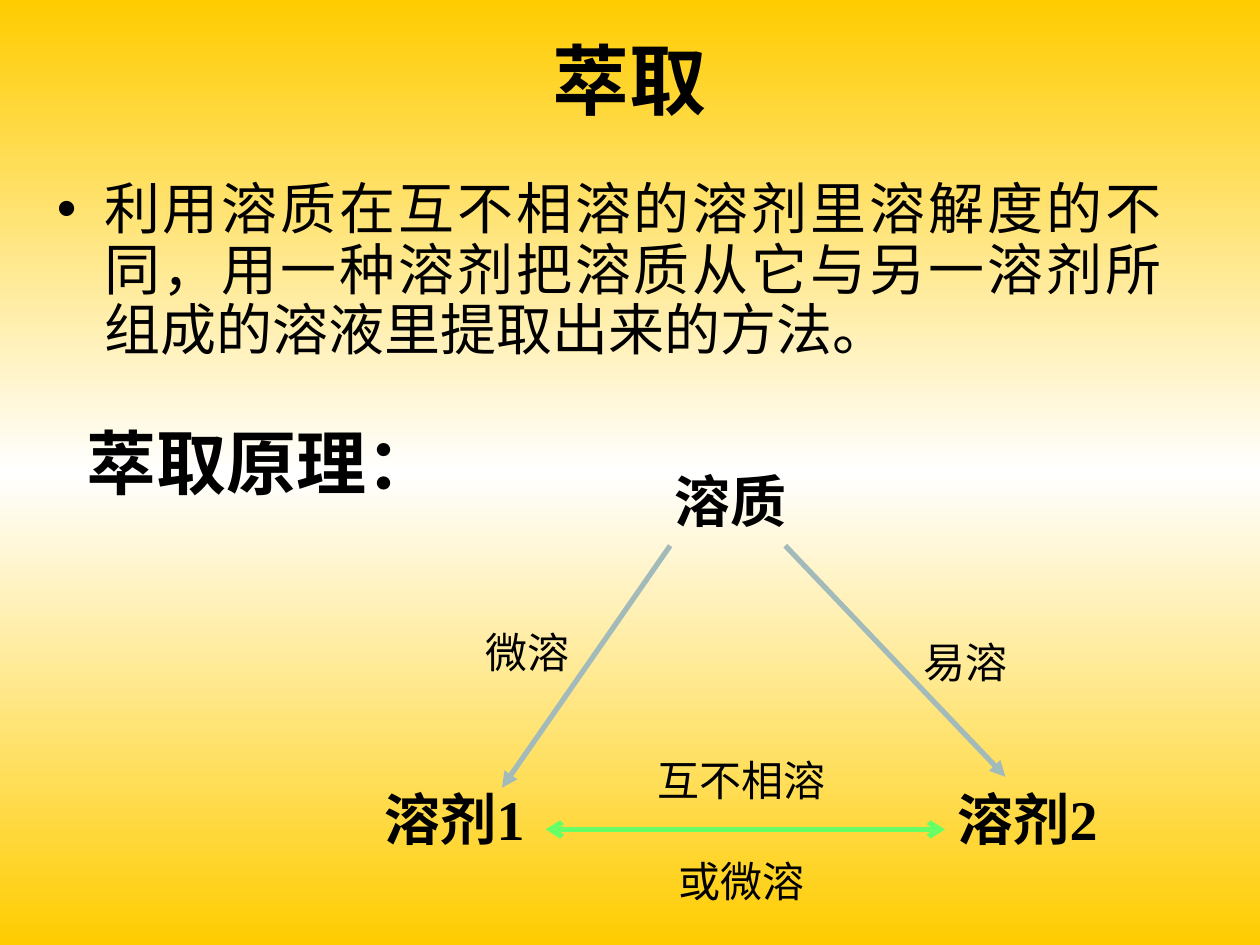
from copy import deepcopy

from pptx import Presentation
from pptx import util as u
from pptx.dml.color import RGBColor
from pptx.enum import shapes, text
from pptx.oxml.ns import qn
from pptx.oxml.xmlchemy import OxmlElement

BLACK = RGBColor(0x00, 0x00, 0x00)
WHITE = RGBColor(0xFF, 0xFF, 0xFF)
GOLD = RGBColor(0xFF, 0xCC, 0x00)
GREY = RGBColor(0xA3, 0xBA, 0xBA)
GREEN = RGBColor(0x66, 0xFF, 0x66)
SERIF = "Times New Roman"


def add_xml(parent, tag, **attributes):
    element = OxmlElement(tag)
    for name, value in attributes.items():
        element.set(name, value)
    parent.append(element)
    return element


def paint_background(slide):
    fill = slide.background.fill
    fill.gradient()
    fill.gradient_angle = 90
    stop_list = slide.element.find(".//" + qn("a:gsLst"))
    stop_list.append(deepcopy(stop_list[-1]))
    for stop, position, color in zip(fill.gradient_stops, (0, 0.5, 1), (GOLD, WHITE, GOLD)):
        stop.position = position
        stop.color.rgb = color


def add_text(container, words, left, top, width, height, size, bold=False, font=SERIF, wrap=False):
    shape = container.shapes.add_textbox(u.Cm(left), u.Cm(top), u.Cm(width), u.Cm(height))
    frame = shape.text_frame
    frame.word_wrap = wrap
    frame.auto_size = text.MSO_AUTO_SIZE.NONE if wrap else text.MSO_AUTO_SIZE.SHAPE_TO_FIT_TEXT
    frame.text = words
    for paragraph in frame.paragraphs:
        for run in paragraph.runs:
            run.font.size = u.Pt(size)
            run.font.bold = bold
            run.font.name = font
            run.font.color.rgb = BLACK
    return frame


def add_title(slide, words):
    frame = add_text(slide, words, 1.9, 0, 21.6, 3.18, 44, True, "Montserrat", True)
    frame.vertical_anchor = text.MSO_ANCHOR.MIDDLE
    frame.paragraphs[0].alignment = text.PP_ALIGN.CENTER


def add_definition(slide, words):
    frame = add_text(slide, words, 0.9, 3.53, 22.78, 4.04, 32, False, "Noto Sans CJK JP", True)
    paragraph = frame.paragraphs[0]
    paragraph.alignment = text.PP_ALIGN.JUSTIFY
    paragraph.line_spacing = 0.9
    properties = paragraph._p.get_or_add_pPr()
    indent = u.Cm(0.95)
    properties.set("marL", str(indent))
    properties.set("indent", str(-indent))
    add_xml(add_xml(properties, "a:buClr"), "a:srgbClr", val=str(BLACK))
    add_xml(properties, "a:buFont", typeface="Arial")
    add_xml(properties, "a:buChar", char="•")


def add_arrow(container, start, end, color, **heads):
    points = [u.Cm(value) for value in (*start, *end)]
    connector = container.shapes.add_connector(shapes.MSO_CONNECTOR.STRAIGHT, *points)
    connector.line.color.rgb = color
    connector.line.width = u.Pt(3)
    line = connector.line._get_or_add_ln()
    for end_name, kind in heads.items():
        add_xml(line, f"a:{end_name}", type=kind)
    add_xml(connector._element.spPr, "a:effectLst")


def add_labelled_arrow(slide, start, end, words, left, top):
    group = slide.shapes.add_group_shape()
    add_arrow(group, start, end, GREY, tailEnd="triangle")
    add_text(group, words, left, top, 2.2, 1.27, 24)


def add_two_way_label(slide, words):
    frame = add_text(slide, words, 13, 15.09, 3.9, 3.3, 24)
    for paragraph in frame.paragraphs:
        paragraph.alignment = text.PP_ALIGN.CENTER
    frame.paragraphs[-1].space_before = u.Pt(29)


def main():
    presentation = Presentation()
    presentation.slide_width = u.Cm(25.4)
    presentation.slide_height = u.Cm(19.05)
    slide = presentation.slides.add_slide(presentation.slide_layouts[6])
    paint_background(slide)

    add_title(slide, "萃取")
    add_definition(
        slide,
        "利用溶质在互不相溶的溶剂里溶解度的不同，用一种溶剂把溶质从它与另一溶剂所组成的溶液里提取出来的方法。",
    )
    add_text(slide, "萃取原理：", 1.5, 8.33, 7.54, 1.96, 40, True)

    add_text(slide, "溶质", 13.34, 9.27, 2.77, 1.63, 32, True)
    for solvent, left in (("溶剂1", 7.5), ("溶剂2", 19.05)):
        add_text(slide, solvent, left, 15.7, 3.6, 1.63, 32, True)

    add_labelled_arrow(slide, (13.51, 11), (10.12, 15.88), "微溶", 9.53, 12.5)
    add_labelled_arrow(slide, (15.83, 11), (20.27, 15.66), "易溶", 18.37, 12.7)
    add_arrow(slide, (19.05, 16.72), (11, 16.72), GREEN, headEnd="arrow", tailEnd="arrow")
    add_two_way_label(slide, "互不相溶\n或微溶")

    presentation.save("out.pptx")


if __name__ == "__main__":
    main()
